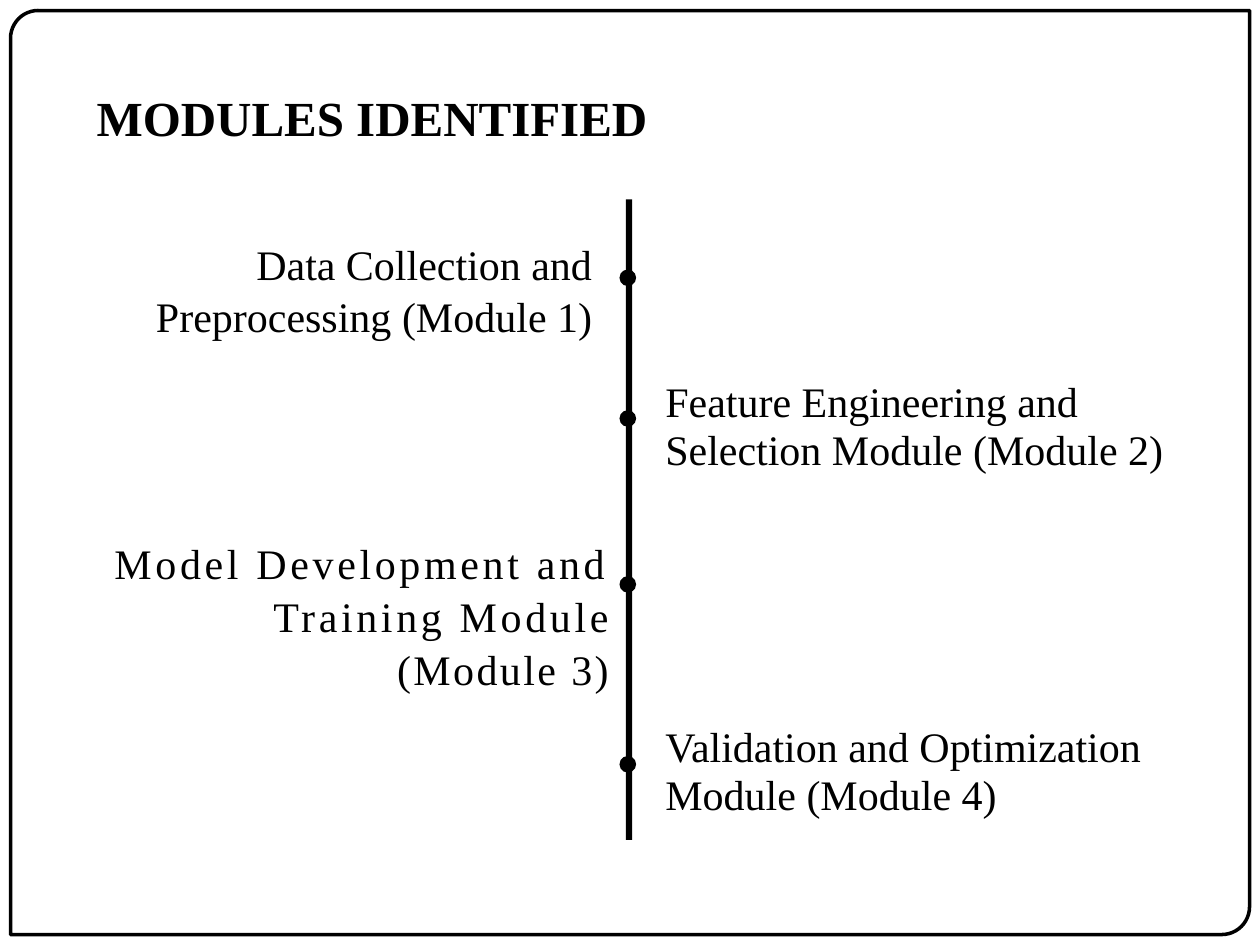
from pptx import Presentation
from pptx.dml.color import RGBColor
from pptx.enum.shapes import MSO_SHAPE
from pptx.enum.text import MSO_ANCHOR, PP_ALIGN
from pptx.util import Pt

BLACK = RGBColor(0, 0, 0)
FONT = "Times New Roman"
LEFT, CENTER, RIGHT = PP_ALIGN.LEFT, PP_ALIGN.CENTER, PP_ALIGN.RIGHT
TOP, MIDDLE = MSO_ANCHOR.TOP, MSO_ANCHOR.MIDDLE
RECTANGLE, OVAL = MSO_SHAPE.RECTANGLE, MSO_SHAPE.OVAL
FRAME = MSO_SHAPE.ROUND_2_DIAG_RECTANGLE


class TimelineSlide:
    def __init__(self, presentation):
        self.slide = presentation.slides.add_slide(presentation.slide_layouts[6])

    def add_shape(self, kind, left, top, width, height):
        shape = self.slide.shapes.add_shape(
            kind, Pt(left), Pt(top), Pt(width), Pt(height))
        shape.shadow.inherit = False
        return shape

    def frame(self, left, top, width, height):
        shape = self.add_shape(FRAME, left, top, width, height)
        shape.adjustments[0] = 0.03
        shape.adjustments[1] = 0
        shape.fill.background()
        shape.line.color.rgb = BLACK
        shape.line.width = Pt(2)

    def solid(self, kind, left, top, width, height):
        shape = self.add_shape(kind, left, top, width, height)
        shape.fill.solid()
        shape.fill.fore_color.rgb = BLACK
        shape.line.fill.background()

    def text(self, left, top, width, height, paragraphs, align=LEFT, size=24,
             bold=False, spacing=None, anchor=TOP, inset=0):
        """Each paragraph is a pair of its words and its letter spacing in points."""
        box = self.slide.shapes.add_textbox(
            Pt(left), Pt(top), Pt(width), Pt(height))
        frame = box.text_frame
        frame.word_wrap = True
        frame.vertical_anchor = anchor
        frame.margin_left = frame.margin_right = Pt(inset)
        frame.margin_top = frame.margin_bottom = Pt(inset / 2)
        for index, (words, tracking) in enumerate(paragraphs):
            paragraph = frame.add_paragraph() if index else frame.paragraphs[0]
            paragraph.alignment = align
            paragraph.line_spacing = spacing
            run = paragraph.add_run()
            run.text = words
            run.font.name = FONT
            run.font.size = Pt(size)
            run.font.bold = bold
            run.font.color.rgb = BLACK
            if tracking:
                run.font._element.set("spc", str(round(tracking * 100)))


def main():
    presentation = Presentation()
    presentation.slide_width = Pt(720)
    presentation.slide_height = Pt(540)
    timeline = TimelineSlide(presentation)

    # Border and title
    timeline.frame(6, 6, 708, 528)
    timeline.text(36, 43.2, 360, 46.8, [("MODULES IDENTIFIED ", 0)],
                  align=CENTER, size=28, bold=True, anchor=MIDDLE, inset=7.2)

    # Vertical line with one dot per module
    timeline.solid(RECTANGLE, 357.7, 114, 3.6, 366)
    for dot_top in (154, 234.4, 329.2, 432):
        timeline.solid(OVAL, 354, dot_top, 9.5, 9.5)

    # Modules left of the line
    timeline.text(12.2, 134.6, 326.2, 58.3,
                  [("Data Collection and Preprocessing (Module 1)", 0)],
                  align=RIGHT, spacing=1.05)
    timeline.text(36, 306, 312, 87.1,
                  [("Model Development and Training Module", 2.1),
                   ("(Module 3)", 1.4)],
                  align=RIGHT, spacing=1.05)

    # Modules right of the line
    for top, words in (
            (216, "Feature Engineering and Selection Module (Module 2)"),
            (413.3, "Validation and Optimization Module (Module 4)")):
        timeline.text(380.2, top, 312, 54.6, [(words, 0)], spacing=Pt(27.3))

    presentation.save("out.pptx")


if __name__ == "__main__":
    main()
